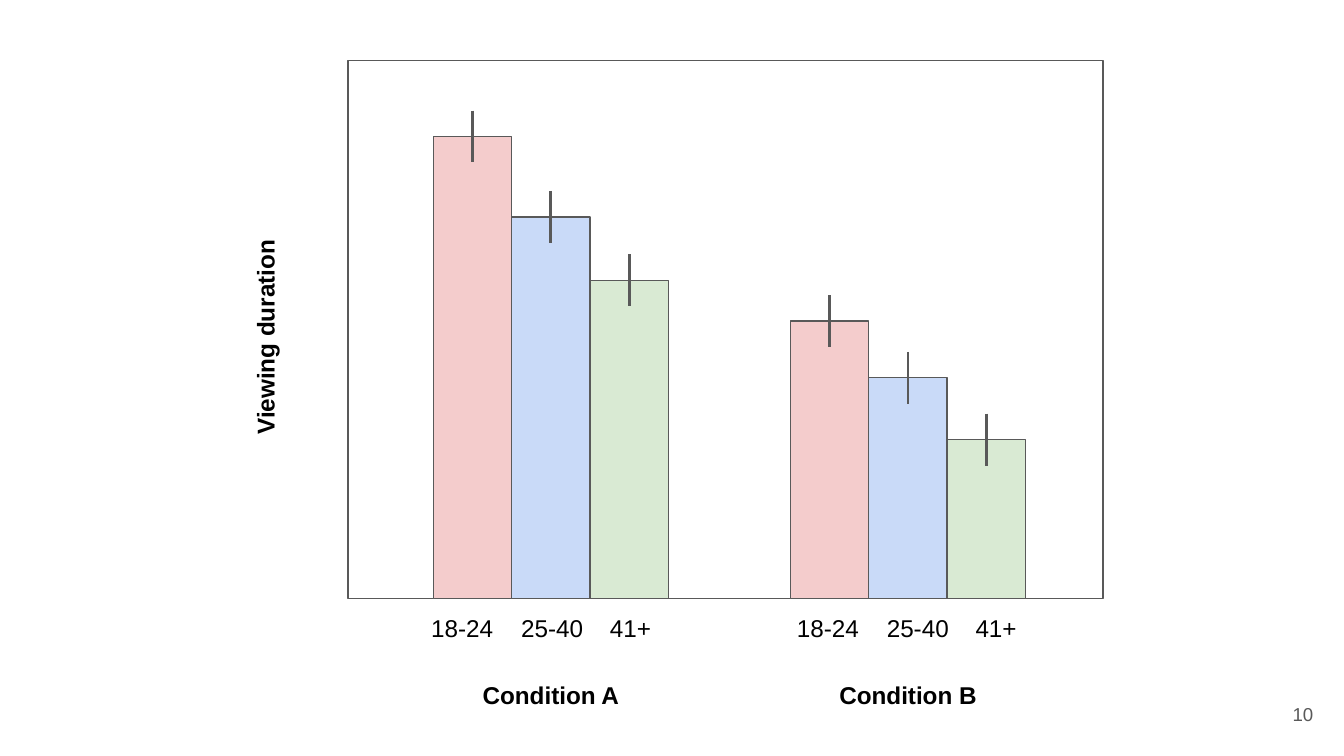
import pptx
import pptx.util
import pptx.dml.color
import pptx.enum.shapes
import pptx.enum.text
import lxml.etree

Cm = pptx.util.Cm
Pt = pptx.util.Pt
RGBColor = pptx.dml.color.RGBColor
PP_ALIGN = pptx.enum.text.PP_ALIGN
MSO_ANCHOR = pptx.enum.text.MSO_ANCHOR

BLACK = RGBColor(0x00, 0x00, 0x00)
GREY = RGBColor(0x59, 0x59, 0x59)
PINK = RGBColor(0xF4, 0xCC, 0xCC)
BLUE = RGBColor(0xC9, 0xDA, 0xF8)
GREEN = RGBColor(0xD9, 0xEA, 0xD3)

prs = pptx.Presentation()
prs.slide_width = Cm(25.4)
prs.slide_height = Cm(14.29)
slide = prs.slides.add_slide(prs.slide_layouts[6])


def add_box(left, top, width, height, color=None):
    box = slide.shapes.add_shape(
        pptx.enum.shapes.MSO_SHAPE.RECTANGLE, Cm(left), Cm(top), Cm(width), Cm(height))
    box.shadow.inherit = False
    if color is None:
        box.fill.background()
    else:
        box.fill.solid()
        box.fill.fore_color.rgb = color
    box.line.color.rgb = GREY
    box.line.width = Pt(0.75)


def add_label(text, left, top, width, size=13, bold=False, color=BLACK, align=PP_ALIGN.CENTER):
    label = slide.shapes.add_textbox(Cm(left), Cm(top), Cm(width), Cm(1.07))
    frame = label.text_frame
    frame.word_wrap = True
    frame.margin_left = frame.margin_right = Cm(0.25)
    frame.margin_top = frame.margin_bottom = Cm(0.25)
    paragraph = frame.paragraphs[0]
    paragraph.text = text
    paragraph.alignment = align
    paragraph.font.name = "Arial"
    paragraph.font.size = Pt(size)
    paragraph.font.bold = bold
    paragraph.font.color.rgb = color
    return label


baseline = 11.32
bar_width = 1.48
error = 0.49
ages = [("18-24", PINK, 0), ("25-40", BLUE, 1.7), ("41+", GREEN, 3.18)]
conditions = [
    ("Condition A", 8.19, 7.87, [2.58, 4.1, 5.3]),
    ("Condition B", 14.94, 14.78, [6.07, 7.14, 8.31]),
]

add_box(6.58, 1.14, 14.27, baseline - 1.14)

for condition, bars_left, ages_left, bar_tops in conditions:
    for i, ((age, color, age_offset), top) in enumerate(zip(ages, bar_tops)):
        left = bars_left + i * bar_width
        add_box(left, top, bar_width, baseline - top, color)
        center = Cm(left + bar_width / 2)
        error_bar = slide.shapes.add_connector(
            pptx.enum.shapes.MSO_CONNECTOR.STRAIGHT,
            center, Cm(top - error), center, Cm(top + error))
        error_bar.line.color.rgb = GREY
        error_bar.line.width = Pt(1.5)
        lxml.etree.SubElement(
            error_bar._element.spPr, pptx.oxml.ns.qn("a:effectLst"))
        add_label(age, ages_left + age_offset, 11.35, 1.73)
    add_label(condition, bars_left, 12.6, 3 * bar_width, bold=True)

axis_title = add_label("Viewing duration", 2.26, 5.84, 5.51, bold=True)
axis_title.rotation = 270

page_number = add_label("10", 23.55, 12.96, 1.52, size=10, color=GREY, align=PP_ALIGN.RIGHT)
page_number.text_frame.vertical_anchor = MSO_ANCHOR.MIDDLE

prs.save("out.pptx")
